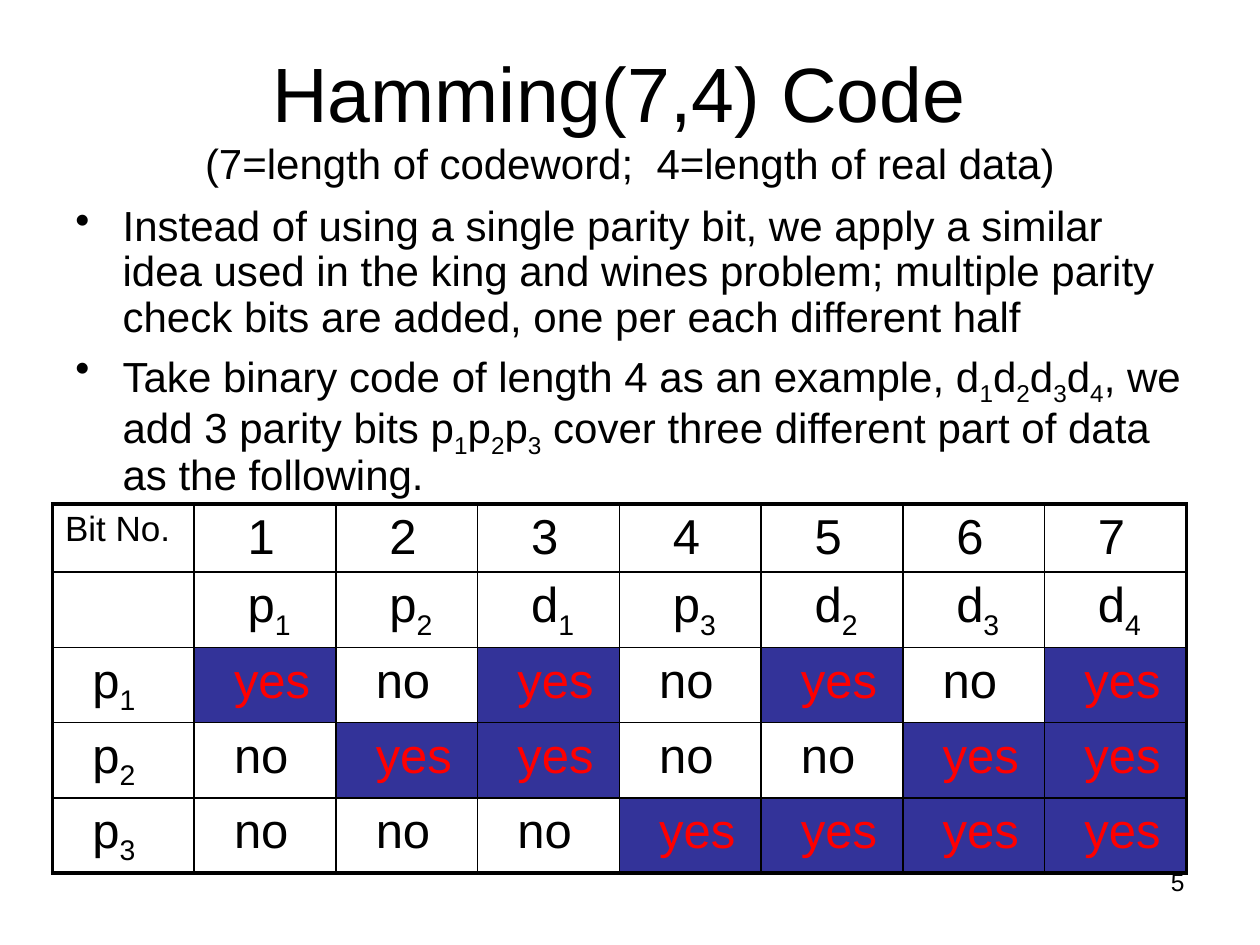
from pptx import Presentation
from pptx.dml.color import RGBColor as Rgb
from pptx.enum.text import MSO_ANCHOR as Anchor, MSO_AUTO_SIZE as Fit, PP_ALIGN as Align
from pptx.util import Pt
from lxml.etree import SubElement as Sub
from pptx.oxml.ns import qn

TITLE = "Hamming(7,4) Code "
NOTE = "(7=length of codeword;  4=length of real data)"
POINTS = [
    "Instead of using a single parity bit, we apply a similar idea used in the king and wines "
    "problem; multiple parity check bits are added, one per each different half",
    "Take binary code of length 4 as an example, d_1d_2d_3d_4, we add 3 parity bits p_1p_2p_3 "
    "cover three different part of data as the following. ",
]
BITS = ["p_1", "p_2", "d_1", "p_3", "d_2", "d_3", "d_4"]
CHECKS = {"p_1": (1, 3, 5, 7), "p_2": (2, 3, 6, 7), "p_3": (4, 5, 6, 7)}
PAGE = "5"

THEME = {
    "font": "Arial", "ink": "000000", "hit": "FF0000", "fill": "333399", "paper": "FFFFFF",
    "title": 44, "text": 24, "cell": 28, "label": 20, "page": 14,
    "thin": 1, "thick": 2.25,
}
LEFT, WIDTH = 36, 648
GRID = (30, 288)
COL, ROWS = 81, [39, 43, 43, 43, 43]
WIDE, NEAR = 23.34, 15.56


def apply(obj, vals):
    for key, val in vals.items():
        setattr(obj, key, val)


def write(para, text, size, tint="ink"):
    head, *tail = text.split("_")
    parts = [(head, False)]
    for part in tail:
        parts += [(part[0], True), (part[1:], False)]
    for word, low in parts:
        if not word:
            continue
        run = para.add_run()
        run.text = word
        apply(run.font, {"name": THEME["font"], "size": Pt(THEME[size])})
        run.font.color.rgb = Rgb.from_string(THEME[tint])
        if low:
            run._r.get_or_add_rPr().set("baseline", "-25000")


def indent(para, left, first=0):
    props = para._p.get_or_add_pPr()
    props.set("marL", str(Pt(left)))
    props.set("indent", str(Pt(first)))
    return props


def place(shape, left, top, width, height):
    apply(shape, {"left": Pt(left), "top": Pt(top), "width": Pt(width), "height": Pt(height)})


def box(slide, *area):
    frame = slide.shapes.add_textbox(*map(Pt, area)).text_frame
    apply(frame, {"word_wrap": True, "auto_size": Fit.NONE})
    return frame


def border(cell, row, col, rows, cols):
    props = cell._tc.get_or_add_tcPr()
    edges = {"lnL": col == 0, "lnR": col == cols - 1, "lnT": row == 0, "lnB": row == rows - 1}
    for name, outer in edges.items():
        line = Sub(props, qn("a:" + name), w=str(Pt(THEME["thick" if outer else "thin"])))
        Sub(Sub(line, qn("a:solidFill")), qn("a:srgbClr"), val=THEME["ink"])


def add_title(slide):
    shape = slide.shapes.title
    place(shape, LEFT, 21.6, WIDTH, 90)
    frame = shape.text_frame
    apply(frame, {"word_wrap": True, "auto_size": Fit.NONE, "vertical_anchor": Anchor.MIDDLE})
    para = frame.paragraphs[0]
    para.alignment = Align.CENTER
    write(para, TITLE, "title")
    para.add_line_break()
    write(para, NOTE, "text")


def add_points(slide):
    frame = box(slide, LEFT, 113.75, WIDTH, 172)
    for num, text in enumerate(POINTS):
        para = frame.add_paragraph() if num else frame.paragraphs[0]
        apply(para, {"line_spacing": 0.9, "space_before": Pt(5.5)})
        Sub(indent(para, 27, -27), qn("a:buChar"), char="•")
        write(para, text, "text")


def add_grid(slide):
    count = range(1, len(BITS) + 1)
    data = [["Bit No."] + [str(num) for num in count], [""] + BITS]
    data += [[name] + ["yes" if num in hits else "no" for num in count]
             for name, hits in CHECKS.items()]
    rows, cols = len(data), len(data[0])
    area = (*GRID, COL * cols, sum(ROWS))
    table = slide.shapes.add_table(rows, cols, *map(Pt, area)).table
    apply(table, {"first_row": False, "horz_banding": False})
    for row, high in zip(table.rows, ROWS):
        row.height = Pt(high)
    for col in table.columns:
        col.width = Pt(COL)
    for row, line in enumerate(data):
        for col, text in enumerate(line):
            cell = table.cell(row, col)
            hit, label = text == "yes", row == col == 0
            border(cell, row, col, rows, cols)
            cell.fill.solid()
            cell.fill.fore_color.rgb = Rgb.from_string(THEME["fill" if hit else "paper"])
            para = cell.text_frame.paragraphs[0]
            para.space_before = Pt(THEME["label" if label else "cell"] * 0.2)
            indent(para, 0 if label else WIDE if row < 2 else NEAR)
            write(para, text, "label" if label else "cell", "hit" if hit else "ink")


def add_page(slide):
    para = box(slide, 516, 492, 168, 37.5).paragraphs[0]
    para.alignment = Align.RIGHT
    write(para, PAGE, "page")


deck = Presentation()
apply(deck, {"slide_width": Pt(720), "slide_height": Pt(540)})
slide = deck.slides.add_slide(deck.slide_layouts[5])
for add in (add_page, add_title, add_points, add_grid):
    add(slide)
deck.save("out.pptx")
